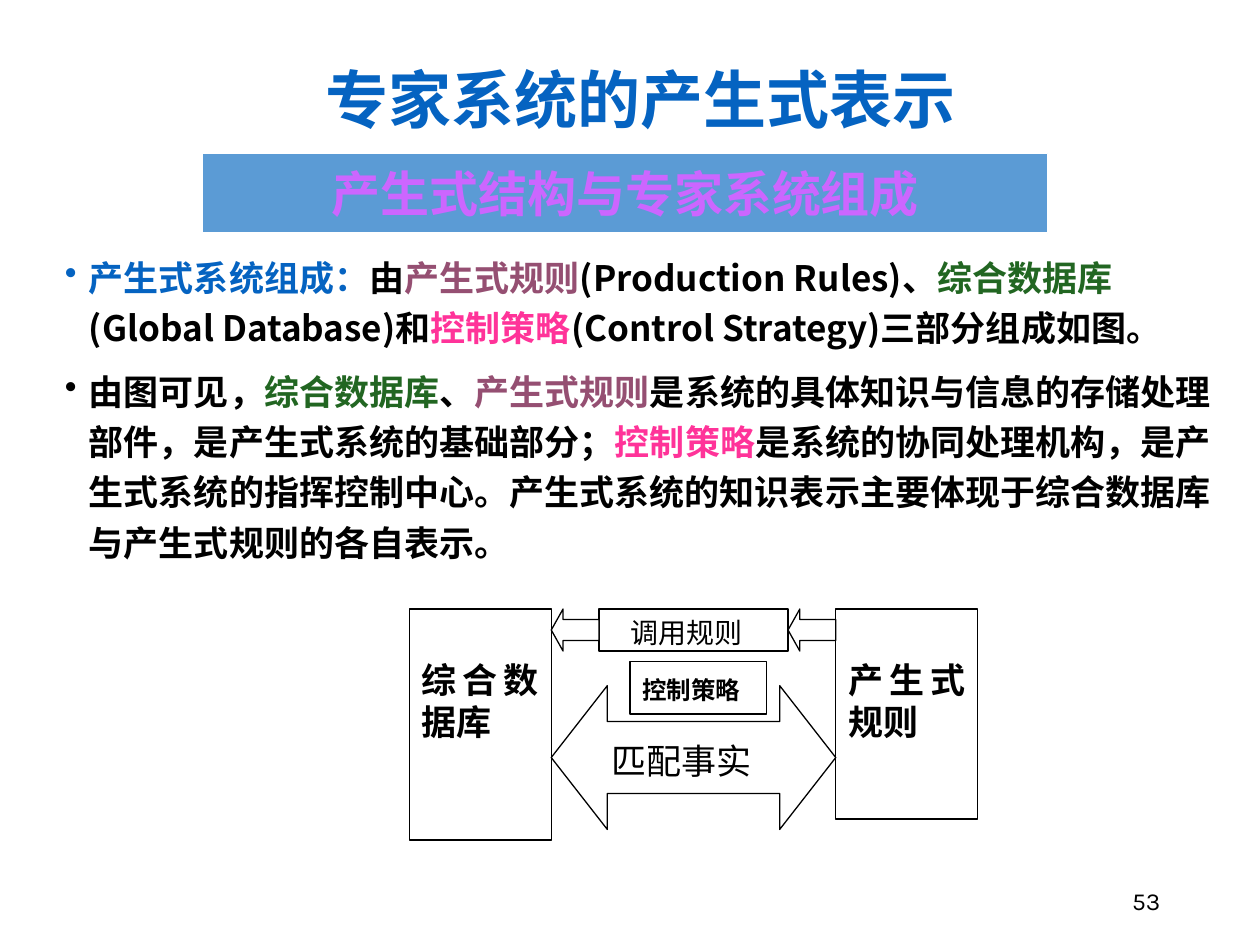
import pptx
import pptx.dml.color
import pptx.enum.shapes
import pptx.enum.text
import pptx.oxml.ns
import pptx.util
from lxml import etree

ALIGN = pptx.enum.text.PP_ALIGN
ANCHOR = pptx.enum.text.MSO_ANCHOR
SHAPE = pptx.enum.shapes.MSO_SHAPE

SERIF, SANS, NUMBER_FONT = "Times New Roman", "Noto Sans CJK SC", "Karla"
BLACK, WHITE, BLUE = "000000", "FFFFFF", "0563C1"
PLUM, GREEN, PINK, VIOLET, BANNER = "954F72", "226622", "FF3399", "CC66FF", "5B9BD5"


def rgb(value):
    return pptx.dml.color.RGBColor.from_string(value)


def add_xml(parent, tag, **attributes):
    return etree.SubElement(parent, pptx.oxml.ns.qn(tag), attributes)


class Page:
    """Draws on one slide; places are (left, top, width, height) in grid cells."""

    COLUMNS, ROWS = 120, 90

    def __init__(self, deck):
        self.cell_width = deck.slide_width / self.COLUMNS
        self.cell_height = deck.slide_height / self.ROWS
        self.slide = deck.slides.add_slide(deck.slide_layouts[5])

    def box(self, place):
        left, top, width, height = place
        return (round(left * self.cell_width), round(top * self.cell_height),
                round(width * self.cell_width), round(height * self.cell_height))

    def frame(self, shape, anchor=ANCHOR.TOP, left=0.1, top=0.05):
        frame = shape.text_frame
        frame.word_wrap = True
        frame.auto_size = pptx.enum.text.MSO_AUTO_SIZE.NONE
        frame.vertical_anchor = anchor
        frame.margin_left = pptx.util.Inches(left)
        frame.margin_right = pptx.util.Inches(0.1)
        frame.margin_top = pptx.util.Inches(top)
        frame.margin_bottom = pptx.util.Inches(0.05)
        return frame

    def style(self, run, size, color=BLACK, bold=False, font=SERIF):
        run.font.size = pptx.util.Pt(size)
        run.font.bold = bold
        run.font.name = font
        run.font.color.rgb = rgb(color)
        add_xml(run.font._element, "a:ea", typeface=SANS)

    def line(self, frame, text, align, **style):
        """Fill a frame with a single styled paragraph."""
        frame.text = text
        paragraph = frame.paragraphs[0]
        paragraph.alignment = align
        self.style(paragraph.runs[0], **style)

    def title(self, place, text):
        title = self.slide.shapes.title
        title.left, title.top, title.width, title.height = self.box(place)
        frame = self.frame(title, ANCHOR.BOTTOM)
        self.line(frame, text, ALIGN.CENTER, size=36, color=BLUE, bold=True, font=SANS)

    def shape(self, kind, place, fill=WHITE, outline=BLACK, adjustments=()):
        shape = self.slide.shapes.add_shape(kind, *self.box(place))
        shape.shadow.inherit = False
        shape.fill.solid()
        shape.fill.fore_color.rgb = rgb(fill)
        shape.line.color.rgb = rgb(outline)
        shape.line.width = pptx.util.Pt(0.75)
        for index, value in enumerate(adjustments):
            shape.adjustments[index] = value
        return shape

    def banner(self, place, text):
        frame = self.frame(self.shape(SHAPE.RECTANGLE, place, BANNER, WHITE), ANCHOR.MIDDLE)
        self.line(frame, text, ALIGN.CENTER, size=28, color=VIOLET, bold=True, font=SANS)

    def label(self, place, text, size, bold=False, outline=BLACK, left=0.1, top=0.05):
        frame = self.frame(self.shape(SHAPE.RECTANGLE, place, outline=outline),
                           left=left, top=top)
        self.line(frame, text, ALIGN.JUSTIFY, size=size, bold=bold)

    def bullets(self, place, items):
        frame = self.frame(self.slide.shapes.add_textbox(*self.box(place)))
        for index, (bullet_color, pieces) in enumerate(items):
            paragraph = frame.add_paragraph() if index else frame.paragraphs[0]
            properties = paragraph._p.get_or_add_pPr()
            indent = pptx.util.Inches(0.19)
            properties.set("marL", str(indent))
            properties.set("indent", str(-indent))
            add_xml(add_xml(properties, "a:buClr"), "a:srgbClr", val=bullet_color)
            add_xml(properties, "a:buChar", char="•")
            paragraph.line_spacing = 1.2
            if index:
                paragraph.space_before = pptx.util.Pt(7.5)
            for text, color in pieces:
                run = paragraph.add_run()
                run.text = text
                self.style(run, 20, color, True, SANS if text.isascii() or index else SERIF)

    def page_number(self, place, text):
        frame = self.frame(self.slide.shapes.add_textbox(*self.box(place)), ANCHOR.MIDDLE)
        self.line(frame, text, ALIGN.RIGHT, size=14, font=NUMBER_FONT)


COMPOSITION = [
    ("产生式系统组成：", BLUE), ("由", BLACK), ("产生式规则", PLUM),
    ("(Production Rules)", BLACK), ("、", BLACK), ("综合数据库", GREEN),
    ("(Global Database)", BLACK), ("和", BLACK), ("控制策略", PINK),
    ("(Control Strategy)", BLACK), ("三部分组成如图。", BLACK),
]
ROLES = [
    ("由图可见，", BLACK), ("综合数据库", GREEN), ("、", BLACK), ("产生式规则", PLUM),
    ("是系统的具体知识与信息的存储处理部件，是产生式系统的基础部分；", BLACK),
    ("控制策略", PINK),
    ("是系统的协同处理机构，是产生式系统的指挥控制中心。"
     "产生式系统的知识表示主要体现于综合数据库与产生式规则的各自表示。", BLACK),
]


def draw_diagram(page):
    top, block_width, gap = 58, 13.5, 27.1
    database_left = 39
    match_left = database_left + block_width
    rules_left = match_left + gap
    call_left, call_width, call_height = match_left + 4.55, 18, 4

    page.label((database_left, top, block_width, 22), "综合数据库", 20, True, top=0.39)
    page.label((rules_left, top, block_width, 20), "产生式规则", 20, True, top=0.39)
    page.shape(SHAPE.LEFT_RIGHT_ARROW, (match_left, 65.3, gap, 13.7),
               adjustments=(0.5, 0.39))
    page.label((call_left, 69.8, call_width, 4.5), "匹配事实", 20, outline=WHITE)
    page.label((call_left, top, call_width, call_height), "调用规则", 16, left=0.25)
    page.label((60, 63, 13, 5), "控制策略", 14, True, top=0.11)
    for arrow_left in (call_left + call_width, match_left):
        page.shape(SHAPE.LEFT_ARROW, (arrow_left, top, 4.55, call_height),
                   adjustments=(0.5, 0.28))


def main():
    deck = pptx.Presentation()
    deck.slide_width = pptx.util.Inches(10)
    deck.slide_height = pptx.util.Inches(7.5)
    page = Page(deck)
    page.bullets((5, 23, 112, 33), [(BLUE, COMPOSITION), (BLACK, ROLES)])
    page.page_number((84.7, 83.4, 27, 4.8), "53")
    page.title((16.1, 4.1, 89.8, 9.5), "专家系统的产生式表示")
    page.banner((19.3, 14.6, 80.5, 7.6), "产生式结构与专家系统组成")
    draw_diagram(page)
    deck.save("out.pptx")


if __name__ == "__main__":
    main()
